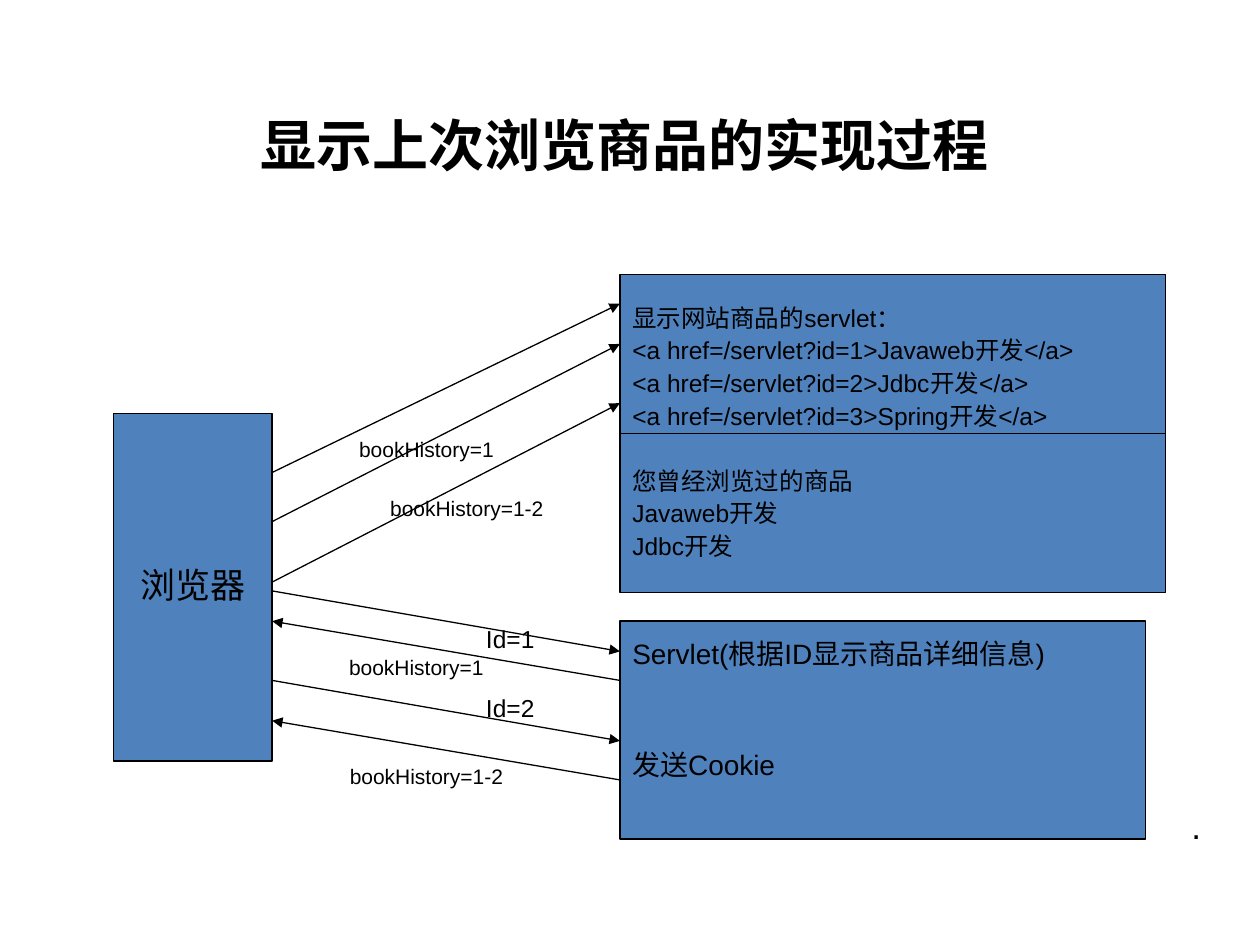
"""Builds a slide on how recently viewed products are shown with a cookie."""
from lxml import etree
from pptx import Presentation
from pptx.dml.color import RGBColor
from pptx.enum.shapes import MSO_CONNECTOR, MSO_SHAPE
from pptx.enum.text import MSO_ANCHOR, MSO_AUTO_SIZE, PP_ALIGN
from pptx.oxml.ns import qn
from pptx.util import Inches, Pt

RECT, STRAIGHT = MSO_SHAPE.RECTANGLE, MSO_CONNECTOR.STRAIGHT
MIDDLE, FIT = MSO_ANCHOR.MIDDLE, MSO_AUTO_SIZE.SHAPE_TO_FIT_TEXT
LEFT, CENTER = PP_ALIGN.LEFT, PP_ALIGN.CENTER
BLACK, BLUE = "000000", "4F81BD"

TITLE = "显示上次浏览商品的实现过程"
BROWSER_RIGHT, SERVER_LEFT, LIST_RIGHT = 2.16, 4.92, 9.25
DIVIDER_Y = 3.44

# (left, top, width, height), size, alignment, bottom inset, [(text, space before)]
BOXES = [
    ((SERVER_LEFT, 2.18, LIST_RIGHT - SERVER_LEFT, 2.52), 14, LEFT, 0.05, [
        ("显示网站商品的servlet：", 3.5),
        ("<a href=/servlet?id=1>Javaweb开发</a>", 3.5),
        ("<a href=/servlet?id=2>Jdbc开发</a>", 3.5),
        ("<a href=/servlet?id=3>Spring开发</a>", 3.5),
        ("您曾经浏览过的商品", 22),
        ("Javaweb开发", 3.5),
        ("Jdbc开发", 3.5),
    ]),
    ((0.9, 3.28, BROWSER_RIGHT - 0.9, 2.76), 20, CENTER, 0.05, [("浏览器", 5)]),
    ((SERVER_LEFT, 4.93, 4.17, 1.73), 16, LEFT, 0.35, [
        ("Servlet(根据ID显示商品详细信息)", 4),
        ("发送Cookie", 46.5),
    ]),
]
REQUESTS = [(3.75, 2.41), (4.14, 2.73), (4.62, 3.2), (4.69, 5.17), (5.4, 5.88)]
RESPONSES = [(5.4, 4.93), (6.19, 5.72)]
LABELS = [
    ("bookHistory=1", 2.48, 3.44, 1.81, 0.28, 12, 7.5),
    ("bookHistory=1-2", 2.8, 3.91, 1.81, 0.28, 12, 7.5),
    ("Id=1", 3.5, 4.93, 1.1, 0.31, 14, 8.8),
    ("bookHistory=1", 2.4, 5.17, 1.81, 0.28, 12, 7.5),
    ("Id=2", 3.5, 5.48, 1.1, 0.31, 14, 8.8),
    ("bookHistory=1-2", 2.48, 6.03, 1.81, 0.28, 12, 7.5),
    (".", 8.98, 6.37, 1.03, 0.4, 20, 5),
]


def paint(color_format, color):
    color_format.rgb = RGBColor.from_string(color)


def add_span(para, text, size, font="Arial", bold=False):
    span = para.add_run()
    span.text = text
    span.font.name, span.font.size, span.font.bold = font, Pt(size), bold
    paint(span.font.color, BLACK)


def write(frame, lines, size, alignment):
    for index, (text, space) in enumerate(lines):
        para = frame.add_paragraph() if index else frame.paragraphs[0]
        para.alignment, para.line_spacing, para.space_before = alignment, 0.9, Pt(space)
        properties = para._p.get_or_add_pPr()
        properties.set("marL", str(Inches(0.38)))
        properties.set("indent", str(Inches(-0.38)))
        add_span(para, text, size)


def add_box(slide, place, size, alignment, bottom, lines):
    box = slide.shapes.add_shape(RECT, *map(Inches, place))
    box.shadow.inherit = False
    box.fill.solid()
    paint(box.fill.fore_color, BLUE)
    paint(box.line.color, BLACK)
    box.line.width = Pt(0.75)
    frame = box.text_frame
    frame.word_wrap, frame.vertical_anchor = False, MIDDLE
    frame.margin_bottom = Inches(bottom)
    write(frame, lines, size, alignment)


def add_line(slide, x1, y1, x2, y2, arrow=True):
    line = slide.shapes.add_connector(STRAIGHT, *map(Inches, (x1, y1, x2, y2)))
    paint(line.line.color, BLACK)
    line.line.width = Pt(0.75)
    if arrow:
        outline = line.line._get_or_add_ln()
        etree.SubElement(outline, qn("a:tailEnd"), type="triangle")
    etree.SubElement(line._element.spPr, qn("a:effectLst"))


def add_label(slide, text, left, top, width, height, size, space):
    box = slide.shapes.add_textbox(*map(Inches, (left, top, width, height)))
    box.text_frame.word_wrap, box.text_frame.auto_size = text != ".", FIT
    write(box.text_frame, [(text, space)], size, CENTER)


def add_title(slide):
    title = slide.shapes.title
    title.left, title.top, title.width, title.height = map(Inches, (0.75, 0.36, 8.42, 1.57))
    title.text_frame.vertical_anchor = MIDDLE
    para = title.text_frame.paragraphs[0]
    para.alignment = CENTER
    add_span(para, TITLE, 32, "Calibri", True)


def main():
    deck = Presentation()
    deck.slide_width, deck.slide_height = Inches(10), Inches(7.5)
    slide = deck.slides.add_slide(deck.slide_layouts[5])
    add_title(slide)
    for box in BOXES:
        add_box(slide, *box)
    add_line(slide, SERVER_LEFT, DIVIDER_Y, LIST_RIGHT, DIVIDER_Y, arrow=False)
    for start, end in REQUESTS:
        add_line(slide, BROWSER_RIGHT, start, SERVER_LEFT, end)
    for start, end in RESPONSES:
        add_line(slide, SERVER_LEFT, start, BROWSER_RIGHT, end)
    for label in LABELS:
        add_label(slide, *label)
    deck.save("out.pptx")


if __name__ == "__main__":
    main()
